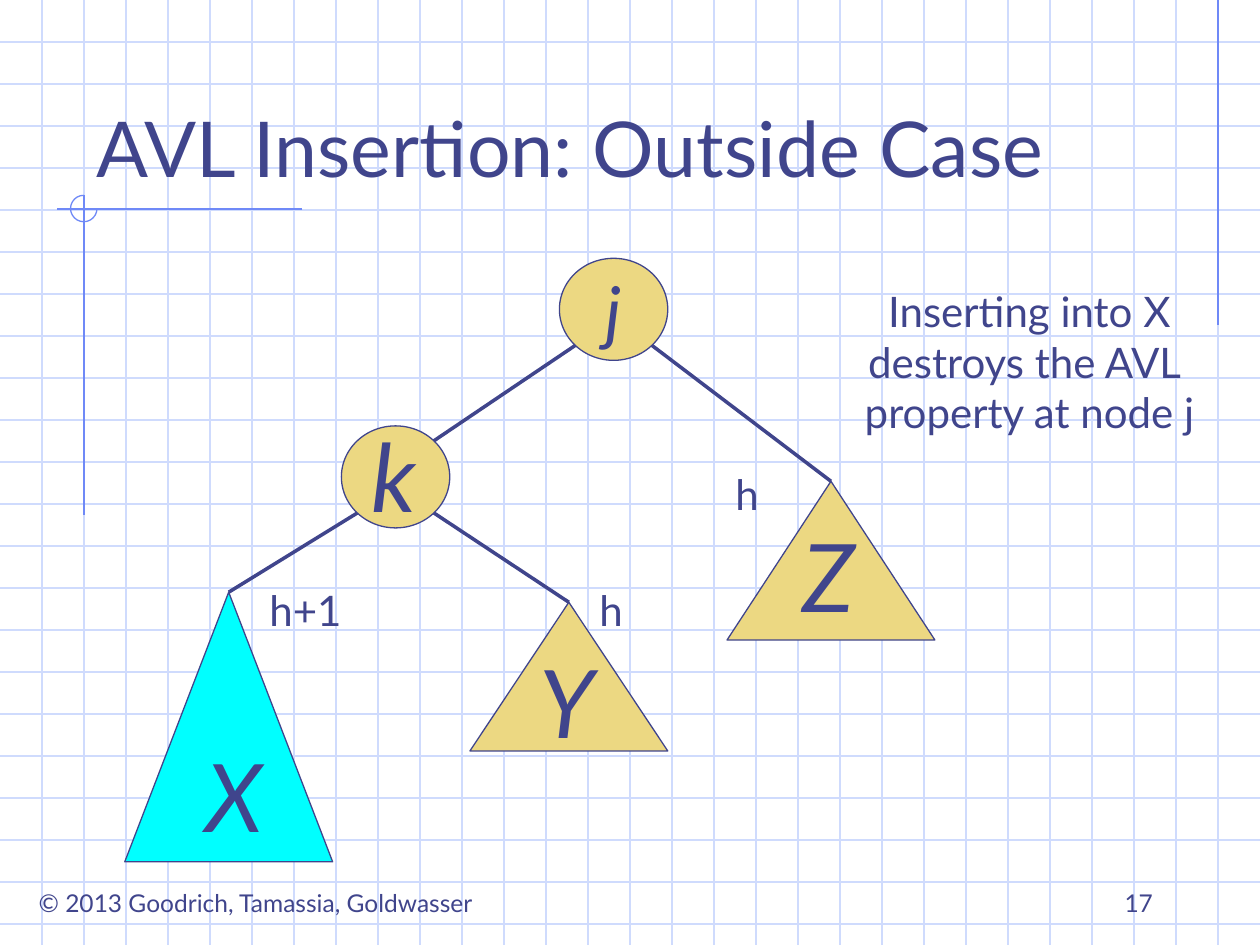
import math
from lxml import etree
from pptx import Presentation, util as u
from pptx.dml.color import RGBColor
from pptx.enum import shapes, text
from pptx.oxml import ns

COLUMNS, ROWS = 30, 22.5
CELL = u.Inches(10) / COLUMNS
FONT = "Lato"
INK, GRID, ACCENT, TAN, CYAN = "40458C", "CFDBFD", "6F89F7", "ECD882", "00FFFF"
LEFT, CENTER, RIGHT = text.PP_ALIGN.LEFT, text.PP_ALIGN.CENTER, text.PP_ALIGN.RIGHT
TOP, MIDDLE, BOTTOM = text.MSO_ANCHOR.TOP, text.MSO_ANCHOR.MIDDLE, text.MSO_ANCHOR.BOTTOM

TITLE = "AVL Insertion: Outside Case"
TITLE_BOX = (2, 1, 25.5, 3.75)
ACCENT_LINES = [
    ((29, 0), (29, 7.74)),
    ((7.2, 4.98), (1.35, 4.98)),
    ((2, 4.65), (2, 12.27)),
]
ACCENT_ARC = (1.68, 4.65, 0.63, 0.63)

NODE_SIZE = (2.58, 2.43)
NODES = {"j": (13.32, 6.15), "k": (8.13, 10.14)}
SUBTREES = {
    "X": ((2.97, 14.1, 4.95, 6.42), CYAN),
    "Y": ((11.19, 14.34, 4.71, 3.54), TAN),
    "Z": ((17.31, 11.46, 4.95, 3.78), TAN),
}
SUBTREE_EDGES = [("k", -1, "X"), ("k", 1, "Y"), ("j", 1, "Z")]

LETTER_SIZE = (1.59, 3)
LETTERS = {"k": (8.55, 9.81), "X": (4.59, 17.43), "Y": (12.54, 15.18), "Z": (18.81, 12.18)}
LABELS = [
    (["Inserting into X", "destroys the AVL ", "property at node j"], (19.98, 6.66, 9.06, 3.9)),
    (["h"], (17.19, 11.01, 1.2, 1.5)),
    (["h+1"], (6.09, 13.77, 2.37, 1.5)),
    (["h"], (13.95, 13.77, 1.2, 1.5)),
]
FOOTER = "© 2013 Goodrich, Tamassia, Goldwasser"
FOOTER_BOX = (0.27, 21, 11.64, 1.02)
PAGE_NUMBER = "17"
PAGE_NUMBER_BOX = (21.5, 20.5, 6.25, 1.5)


def color(value):
    return RGBColor.from_string(value)


def cells(*counts):
    return [u.Emu(round(count * CELL)) for count in counts]


def write(shape, lines, size, align=CENTER, anchor=TOP, wrap=False, italic=False):
    frame = shape.text_frame
    frame.auto_size = text.MSO_AUTO_SIZE.NONE
    frame.word_wrap = wrap
    frame.vertical_anchor = anchor
    for index, line in enumerate(lines):
        paragraph = frame.add_paragraph() if index else frame.paragraphs[0]
        paragraph.alignment = align
        run = paragraph.add_run()
        run.text = line
        run.font.name = FONT
        run.font.size = u.Pt(size)
        run.font.italic = italic
        run.font.color.rgb = color(INK)


def add_text(slide, lines, box, size, **style):
    write(slide.shapes.add_textbox(*cells(*box)), lines, size, **style)


def add_line(slide, start, end, line_color, width=0.75):
    connector = slide.shapes.add_connector(
        shapes.MSO_CONNECTOR.STRAIGHT, *cells(*start, *end))
    connector.line.color.rgb = color(line_color)
    connector.line.width = u.Pt(width)
    etree.SubElement(connector._element.spPr, ns.qn("a:effectLst"))
    return connector


def add_shape(slide, kind, box, fill, line_color=INK):
    shape = slide.shapes.add_shape(kind, *cells(*box))
    shape.shadow.inherit = False
    if fill:
        shape.fill.solid()
        shape.fill.fore_color.rgb = color(fill)
    else:
        shape.fill.background()
    shape.line.color.rgb = color(line_color)
    shape.line.width = u.Pt(0.75)
    return shape


def node_corner(name, side, level):
    (left, top), (width, height) = NODES[name], NODE_SIZE
    reach = math.sqrt(0.5) / 2
    return left + width * (0.5 + side * reach), top + height * (0.5 + level * reach)


def draw_background(slide):
    for row in range(1, math.ceil(ROWS)):
        add_line(slide, (0, row), (COLUMNS, row), GRID)
    for column in range(1, COLUMNS):
        add_line(slide, (column, 0), (column, ROWS), GRID)
    for start, end in ACCENT_LINES:
        add_line(slide, start, end, ACCENT)
    arc = add_shape(slide, shapes.MSO_SHAPE.ARC, ACCENT_ARC, None, ACCENT)
    arc.adjustments[0] = 0
    arc.adjustments[1] = 162


def draw_tree(slide):
    circles = {name: add_shape(slide, shapes.MSO_SHAPE.OVAL, (*place, *NODE_SIZE), TAN)
               for name, place in NODES.items()}
    write(circles["j"], ["j"], 40, anchor=MIDDLE, italic=True)
    triangles = {name: add_shape(slide, shapes.MSO_SHAPE.ISOSCELES_TRIANGLE, box, fill)
                 for name, (box, fill) in SUBTREES.items()}
    add_line(slide, node_corner("j", -1, 1), node_corner("k", 1, -1), INK, 2)
    for parent, side, child in SUBTREE_EDGES:
        (left, top, width, _), _ = SUBTREES[child]
        edge = add_line(slide, node_corner(parent, side, 1), (left + width / 2, top), INK, 2)
        edge.end_connect(triangles[child], 0)
    for letter, place in LETTERS.items():
        add_text(slide, [letter], (*place, *LETTER_SIZE), 54, wrap=True, italic=True)


def main():
    presentation = Presentation()
    presentation.slide_width, presentation.slide_height = cells(COLUMNS, ROWS)
    slide = presentation.slides.add_slide(presentation.slide_layouts[5])
    draw_background(slide)
    add_text(slide, [FOOTER], FOOTER_BOX, 14)
    add_text(slide, [PAGE_NUMBER], PAGE_NUMBER_BOX, 14, align=RIGHT, anchor=BOTTOM, wrap=True)

    title = slide.shapes.title
    title.left, title.top, title.width, title.height = cells(*TITLE_BOX)
    write(title, [TITLE], 44, align=LEFT, anchor=BOTTOM, wrap=True)
    slide.shapes._spTree.append(title._element)

    draw_tree(slide)
    for lines, box in LABELS:
        add_text(slide, lines, box, 24)
    presentation.save("out.pptx")


if __name__ == "__main__":
    main()
